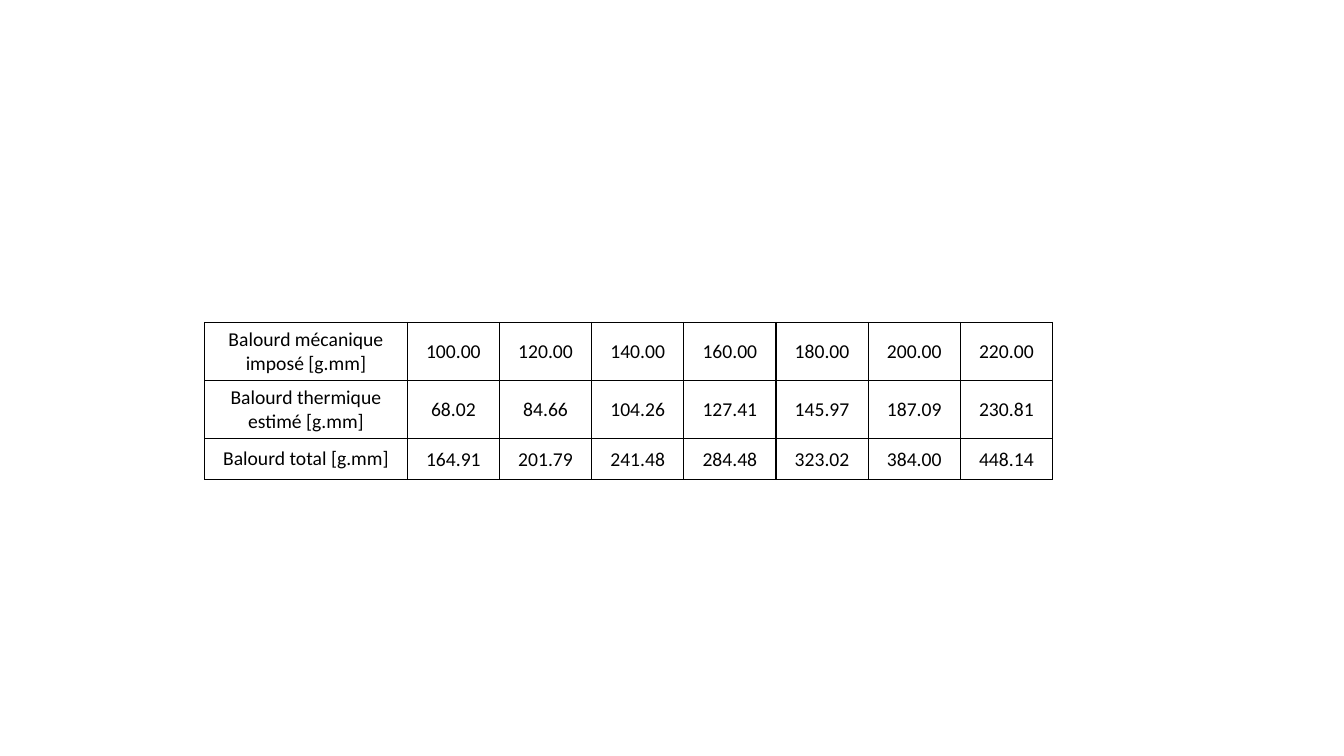
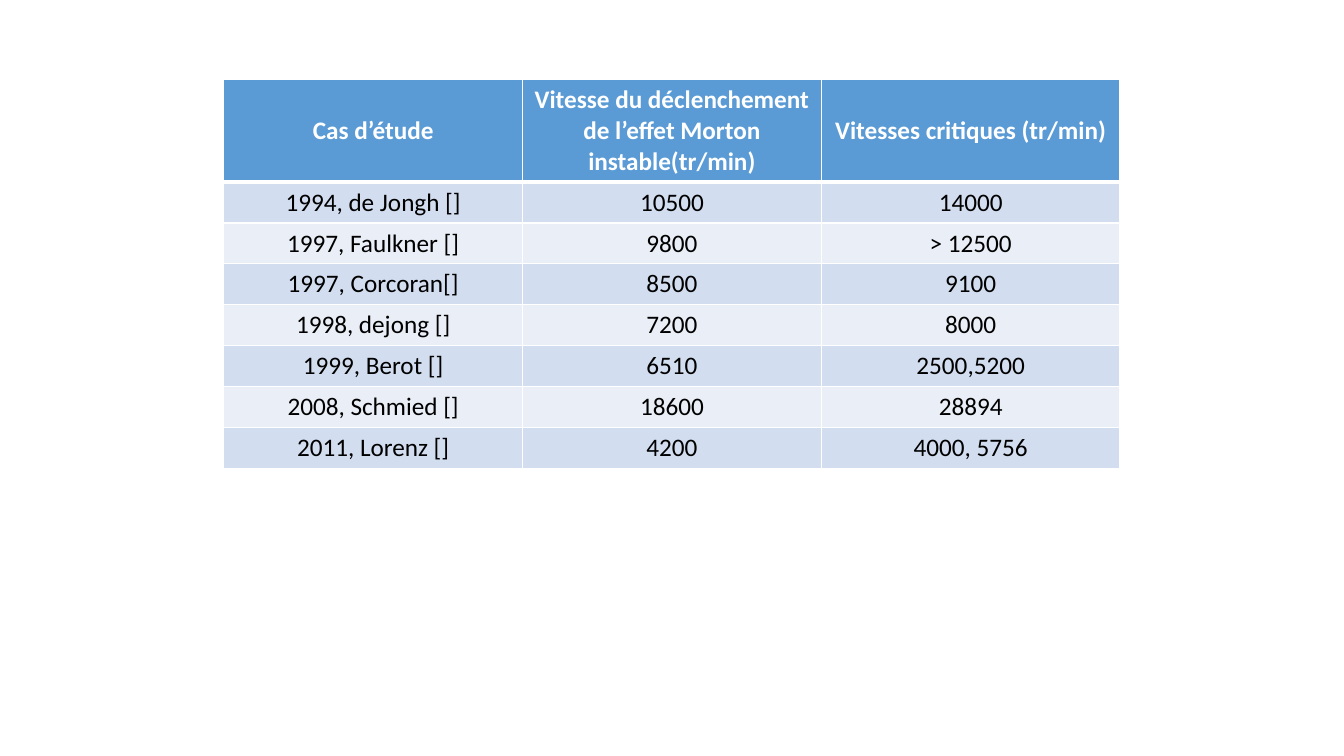
from pptx import Presentation
from pptx.dml.color import RGBColor
from pptx.enum.text import MSO_ANCHOR, PP_ALIGN
from pptx.oxml.ns import qn
from pptx.util import Inches, Pt
from lxml.etree import Element, SubElement

FONT = "Calibri"
BLACK, WHITE = "000000", "FFFFFF"
HEADER_BLUE = "5B9BD5"
BAND_COLORS = ("D2DEEF", "EAEFF7")
ROW_HEIGHT = 0.41

UNBALANCE_ROWS = [
    ("Balourd mécanique imposé [g.mm]",
     "100.00", "120.00", "140.00", "160.00", "180.00", "200.00", "220.00"),
    ("Balourd thermique estimé [g.mm]",
     "68.02", "84.66", "104.26", "127.41", "145.97", "187.09", "230.81"),
    ("Balourd total [g.mm]",
     "164.91", "201.79", "241.48", "284.48", "323.02", "384.00", "448.14"),
]
SPEED_ROWS = [
    ("Cas d’étude", "Vitesse du déclenchement de l’effet Morton instable(tr/min)",
     "Vitesses critiques (tr/min)"),
    ("1994, de Jongh []", "10500", "14000"),
    ("1997, Faulkner []", "9800", "> 12500"),
    ("1997, Corcoran[]", "8500", "9100"),
    ("1998, dejong []", "7200", "8000"),
    ("1999, Berot []", "6510", "2500,5200"),
    ("2008, Schmied []", "18600", "28894"),
    ("2011, Lorenz []", "4200", "4000, 5756"),
]


def rgb(color):
    """Return the colour object for a hex string."""
    return RGBColor.from_string(color)


def set_borders(cell, color, top=1, bottom=1):
    """Draw the four cell borders, with widths in points."""
    properties = cell._tc.get_or_add_tcPr()
    sides = (("a:lnL", 1), ("a:lnR", 1), ("a:lnT", top), ("a:lnB", bottom))
    for index, (tag, width) in enumerate(sides):
        line = Element(qn(tag), w=str(Pt(width)))
        fill = SubElement(line, qn("a:solidFill"))
        SubElement(fill, qn("a:srgbClr"), val=color)
        properties.insert(index, line)


def fill_cell(cell, text, size, fill, color=BLACK, bold=False):
    """Write centred text in a cell and set its fill."""
    cell.fill.solid()
    cell.fill.fore_color.rgb = rgb(fill)
    cell.vertical_anchor = MSO_ANCHOR.MIDDLE
    paragraph = cell.text_frame.paragraphs[0]
    paragraph.alignment = PP_ALIGN.CENTER
    run = paragraph.add_run()
    run.text = text
    run.font.name = FONT
    run.font.size = Pt(size)
    run.font.bold = bold
    run.font.color.rgb = rgb(color)


def add_plain_table(slide, box, widths, heights):
    """Add a table without banding, with the given column and row sizes."""
    frame = slide.shapes.add_table(len(heights), len(widths), *map(Inches, box))
    table = frame.table
    table.first_row = False
    table.horz_banding = False
    for column, width in zip(table.columns, widths):
        column.width = Inches(width)
    for row, height in zip(table.rows, heights):
        row.height = Inches(height)
    return table


def add_unbalance_table(slide, box):
    """Place the ruled table of unbalance values in the box."""
    label_width = 2.01
    value_count = len(UNBALANCE_ROWS[0]) - 1
    widths = [label_width] + [(box[2] - label_width) / value_count] * value_count
    label_height = (box[3] - ROW_HEIGHT) / 2
    table = add_plain_table(slide, box, widths, [label_height, label_height, ROW_HEIGHT])
    for row_index, texts in enumerate(UNBALANCE_ROWS):
        for column_index, text in enumerate(texts):
            cell = table.cell(row_index, column_index)
            fill_cell(cell, text, 14, WHITE)
            set_borders(cell, BLACK)
            if column_index:
                cell.margin_left = cell.margin_right = cell.margin_top = Inches(0.01)
                cell.margin_bottom = 0


def add_speed_table(slide, box):
    """Place the banded table of speeds by case study in the box."""
    header_height = 1
    body_count = len(SPEED_ROWS) - 1
    column_count = len(SPEED_ROWS[0])
    heights = [header_height] + [(box[3] - header_height) / body_count] * body_count
    table = add_plain_table(slide, box, [box[2] / column_count] * column_count, heights)
    for row_index, texts in enumerate(SPEED_ROWS):
        for column_index, text in enumerate(texts):
            cell = table.cell(row_index, column_index)
            if row_index == 0:
                fill_cell(cell, text, 18, HEADER_BLUE, WHITE, bold=True)
                set_borders(cell, WHITE, bottom=3)
            else:
                fill_cell(cell, text, 18, BAND_COLORS[(row_index - 1) % 2])
                set_borders(cell, WHITE, top=3 if row_index == 1 else 1)


def main():
    """Build both slides and save the presentation."""
    presentation = Presentation()
    presentation.slide_width = Inches(13.33)
    presentation.slide_height = Inches(7.5)
    blank_layout = presentation.slide_layouts[6]
    add_unbalance_table(presentation.slides.add_slide(blank_layout), (2.03, 3.2, 8.41, 1.56))
    add_speed_table(presentation.slides.add_slide(blank_layout), (2.22, 0.79, 8.89, 3.84))
    presentation.save("out.pptx")


if __name__ == "__main__":
    main()
